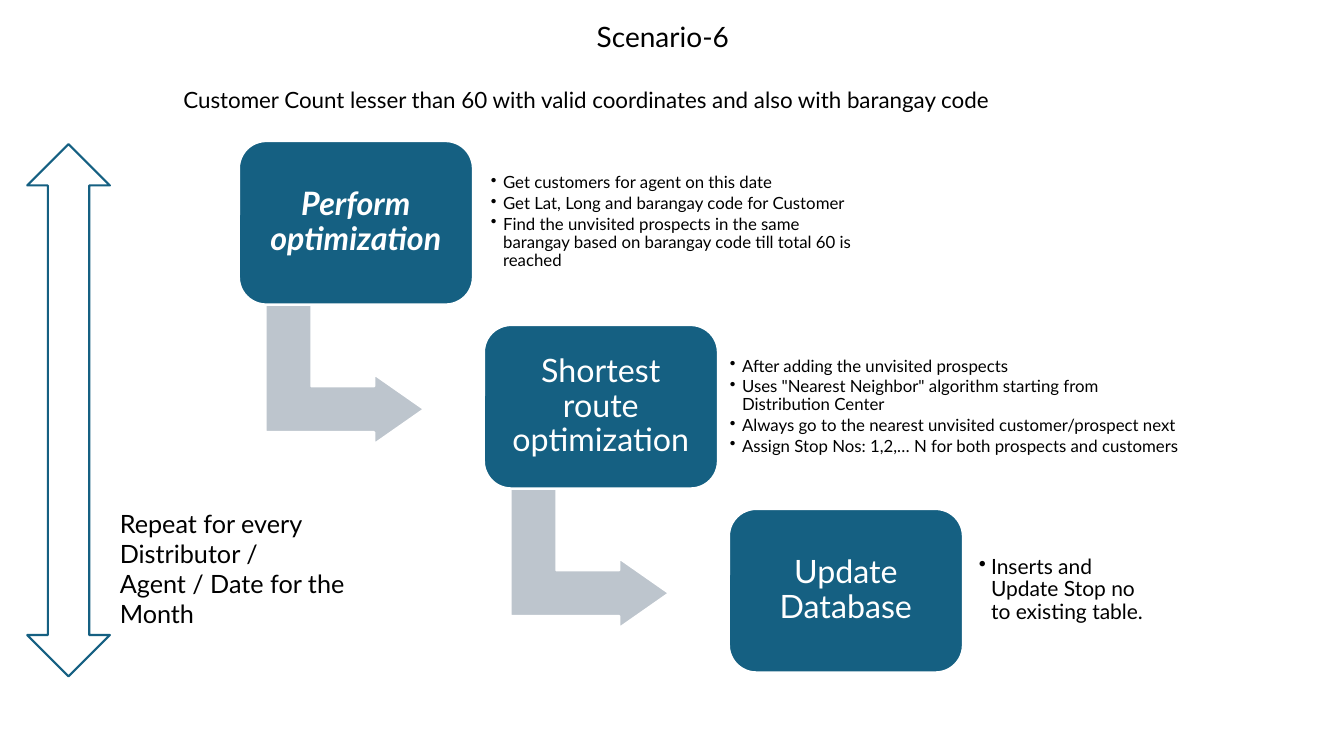
from dataclasses import dataclass

import pptx
import pptx.dml.color
import pptx.enum.shapes
import pptx.enum.text
import pptx.oxml.ns
import pptx.util
from lxml import etree

Inches = pptx.util.Inches
Pt = pptx.util.Pt
RGBColor = pptx.dml.color.RGBColor
Preset = pptx.enum.shapes.MSO_SHAPE
Align = pptx.enum.text.PP_ALIGN
Anchor = pptx.enum.text.MSO_ANCHOR

TEAL = RGBColor(0x15, 0x60, 0x82)
GREY = RGBColor(0xBD, 0xC5, 0xCD)
WHITE = RGBColor(0xFF, 0xFF, 0xFF)
BLACK = RGBColor(0, 0, 0)
FONT = "Lato"

FIRST_LEFT, FIRST_TOP = 2.37, 1.4
STEP_RIGHT, STEP_DOWN = 2.43, 1.825
CARD_WIDTH, CARD_HEIGHT = 2.32, 1.62
ARROW_RIGHT, ARROW_DOWN = 0.36, 1.53
BULLET_INDENT = 0.12


@dataclass
class Frame:
    left: float
    top: float
    width: float
    height: float

    def lengths(self) -> list:
        return [Inches(value) for value in (self.left, self.top, self.width, self.height)]


@dataclass
class Step:
    title: str
    title_format: dict
    details: list[str]
    details_box: Frame
    details_size: float
    details_inset: float


STEPS = [
    Step("Perform optimization", {"bold": True, "italic": True}, [
        "Get customers for agent on this date",
        "Get Lat, Long and barangay code for Customer",
        "Find the unvisited prospects in the same barangay based on "
        "barangay code till total 60 is reached",
    ], Frame(4.8, 1.37, 3.8, 1.67), 12, 0.07),
    Step("Shortest route optimization", {}, [
        "After adding the unvisited prospects",
        'Uses "Nearest Neighbor" algorithm starting from Distribution Center',
        "Always go to the nearest unvisited customer/prospect next",
        "Assign Stop Nos: 1,2,… N for both prospects and customers",
    ], Frame(7.17, 3.38, 4.61, 1.31), 12, 0.07),
    Step("Update Database", {}, ["Inserts and Update Stop no to existing table."],
         Frame(9.65, 5.34, 1.9, 1.03), 15, 0.06),
]


def set_values(target, values: dict) -> None:
    for name, value in values.items():
        setattr(target, name, value)


def write(para, text: str, size: float, color: RGBColor = BLACK, **extra) -> None:
    para.text = text
    for span in para.runs:
        set_values(span.font, {"name": FONT, "size": Pt(size), **extra})
        span.font.color.rgb = color


def add_block(page, preset, frame: Frame, fill: RGBColor, line: RGBColor):
    shape = page.shapes.add_shape(preset, *frame.lengths())
    shape.shadow.inherit = False
    shape.fill.solid()
    shape.fill.fore_color.rgb = fill
    shape.line.color.rgb = line
    shape.line.width = Pt(1.5)
    return shape


def add_text_frame(page, frame: Frame):
    text_frame = page.shapes.add_textbox(*frame.lengths()).text_frame
    text_frame.word_wrap = True
    return text_frame


def set_insets(text_frame, inset: float) -> None:
    """Give all four sides one inset and centre the text vertically."""
    sides = ("margin_left", "margin_top", "margin_right", "margin_bottom")
    set_values(text_frame, dict.fromkeys(sides, Inches(inset)))
    set_values(text_frame, {"word_wrap": True, "vertical_anchor": Anchor.MIDDLE})


def indent(para, left: float, first: float = 0):
    properties = para._p.get_or_add_pPr()
    properties.set("marL", str(Inches(left)))
    properties.set("indent", str(Inches(first)))
    return properties


def add_bullet(para) -> None:
    properties = indent(para, BULLET_INDENT, -BULLET_INDENT)
    bullet = etree.SubElement(properties, pptx.oxml.ns.qn("a:buChar"))
    bullet.set("char", "•")


def draw_card(page, step: Step, left: float, top: float) -> None:
    frame = Frame(left, top, CARD_WIDTH, CARD_HEIGHT)
    card = add_block(page, Preset.ROUNDED_RECTANGLE, frame, TEAL, WHITE)
    set_insets(card.text_frame, 0.1)
    para = card.text_frame.paragraphs[0]
    set_values(para, {"alignment": Align.CENTER, "line_spacing": 0.9})
    write(para, step.title, 23, WHITE, **step.title_format)


def draw_details(page, step: Step) -> None:
    text_frame = add_text_frame(page, step.details_box)
    set_insets(text_frame, step.details_inset)
    for index, detail in enumerate(step.details):
        para = text_frame.add_paragraph() if index else text_frame.paragraphs[0]
        set_values(para, {"line_spacing": 0.9, "space_after": Pt(0.15 * step.details_size)})
        add_bullet(para)
        write(para, detail, step.details_size)


def draw_bent_arrow(page, left: float, top: float) -> None:
    frame = Frame(left + ARROW_RIGHT, top + ARROW_DOWN, 1.38, 1.57)
    arrow = add_block(page, Preset.BENT_UP_ARROW, frame, GREY, WHITE)
    arrow.rotation = 90
    for index, value in enumerate((0.328, 0.25, 0.358)):
        arrow.adjustments[index] = value


def draw_headings(page) -> None:
    text_frame = add_text_frame(page, Frame(0.7, 0.14, 12.18, 1.04))
    title = text_frame.paragraphs[0]
    indent(title, 5.12)
    write(title, "Scenario-6", 20)
    subtitle = text_frame.add_paragraph()
    indent(subtitle, 1.02)
    subtitle.space_before = Pt(24)
    write(subtitle, "Customer Count lesser than 60 with valid coordinates "
                    "and also with barangay code", 16)


def draw_repeat_note(page) -> None:
    add_block(page, Preset.UP_DOWN_ARROW, Frame(0.27, 1.43, 0.82, 5.28), WHITE, TEAL)
    text_frame = add_text_frame(page, Frame(1.09, 4.99, 2.44, 1.01))
    write(text_frame.paragraphs[0],
          "Repeat for every Distributor /\nAgent / Date for the Month", 18)


def main() -> None:
    deck = pptx.Presentation()
    set_values(deck, {"slide_width": Inches(13.33), "slide_height": Inches(7.5)})
    page = deck.slides.add_slide(deck.slide_layouts[6])
    for index, step in enumerate(STEPS):
        left = FIRST_LEFT + index * STEP_RIGHT
        top = FIRST_TOP + index * STEP_DOWN
        if index < len(STEPS) - 1:
            draw_bent_arrow(page, left, top)
        draw_card(page, step, left, top)
        draw_details(page, step)
    draw_repeat_note(page)
    draw_headings(page)
    deck.save("out.pptx")


if __name__ == "__main__":
    main()
